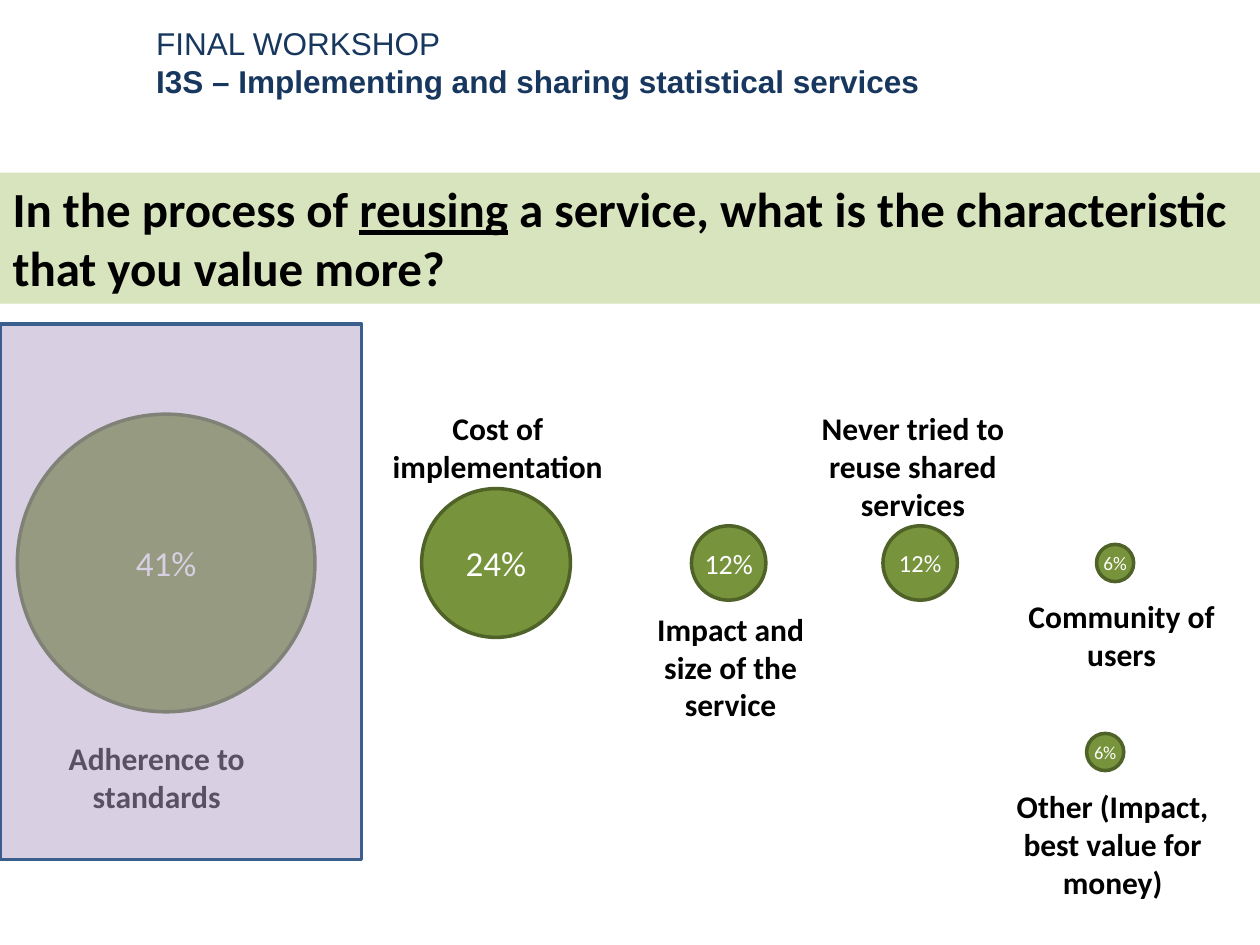
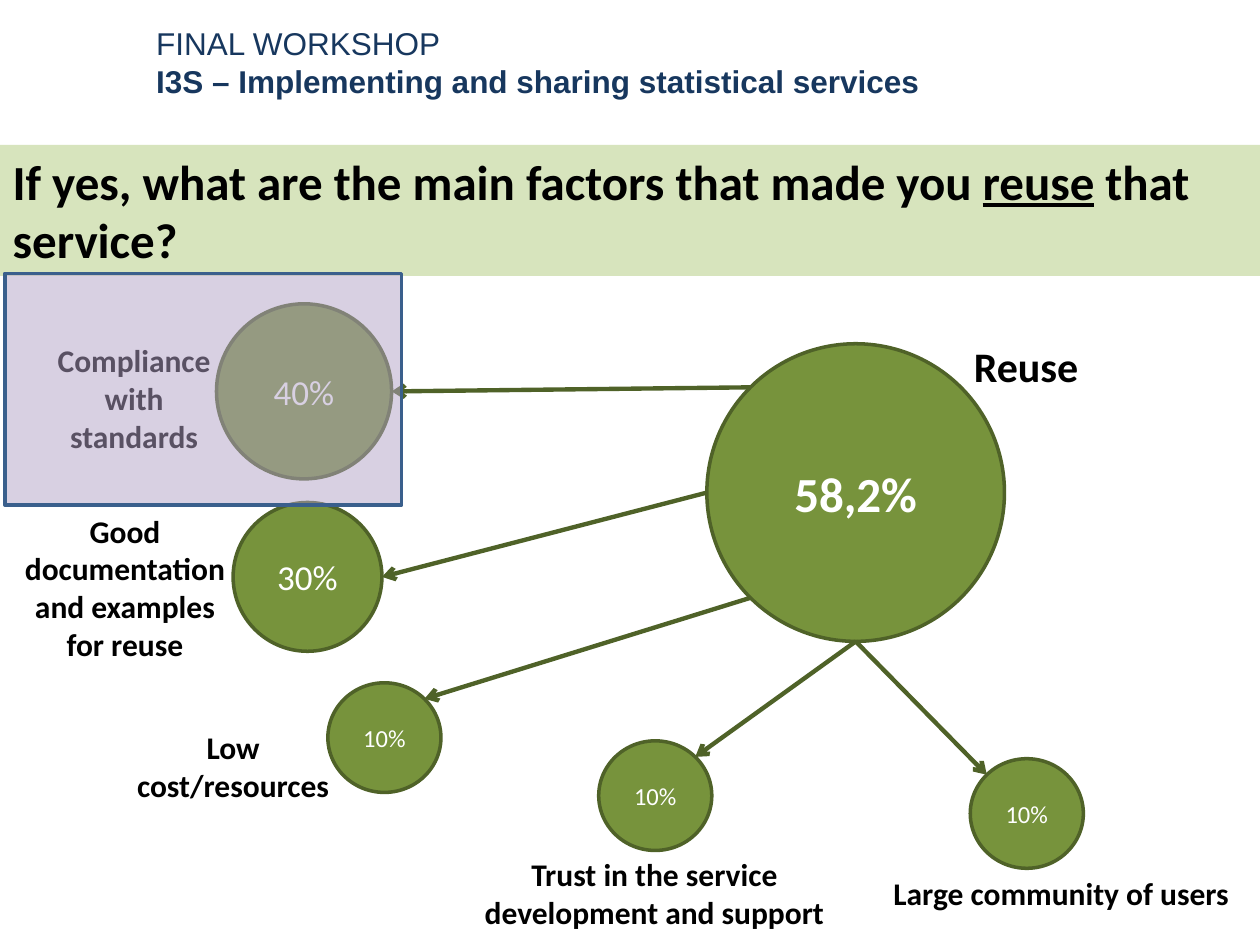
"""Build two workshop slides that show survey answers as bubbles sized by share."""
from dataclasses import dataclass
from math import cos, pi, sin
from typing import NamedTuple, Optional

from lxml import etree
from pptx import Presentation
from pptx.dml.color import RGBColor
from pptx.enum.shapes import MSO_CONNECTOR as Link, MSO_SHAPE as Preset
from pptx.enum.text import MSO_ANCHOR as Anchor, MSO_AUTO_SIZE as AutoSize, PP_ALIGN as Align
from pptx.oxml.ns import qn
from pptx.shapes.autoshape import Shape
from pptx.slide import Slide
from pptx.util import Cm, Pt


@dataclass(frozen=True)
class Theme:
    band: RGBColor = RGBColor(0xD7, 0xE4, 0xBD)
    bubble: RGBColor = RGBColor(0x77, 0x93, 0x3C)
    bubble_edge: RGBColor = RGBColor(0x4F, 0x62, 0x28)
    highlight: RGBColor = RGBColor(0xB3, 0xA2, 0xC7)
    highlight_edge: RGBColor = RGBColor(0x3A, 0x5F, 0x8C)
    highlight_alpha: int = 50
    header: RGBColor = RGBColor(0x17, 0x37, 0x5E)
    ink: RGBColor = RGBColor(0, 0, 0)
    light: RGBColor = RGBColor(255, 255, 255)
    body_font: str = "Calibri"
    header_font: str = "Arial"
    question_size: float = 28
    label_size: float = 18
    topic_size: float = 24
    edge_width: float = 2
    arrow_width: float = 2.5


THEME = Theme()
WIDTH, HEIGHT = 25.4, 19.05
BAND_HEIGHT = 2.64
HEADER_LINES = ("FINAL WORKSHOP", "I3S – Implementing and sharing statistical services")
NARROW_BUBBLE = 2


class Box(NamedTuple):
    left: float
    top: float
    width: float
    height: float

    def lengths(self) -> tuple[Cm, ...]:
        return tuple(Cm(side) for side in self)


class Question(NamedTuple):
    before: str
    stressed: str
    after: str
    top: float


class Arrow(NamedTuple):
    """Sites run counterclockwise in eighths of a turn from the top."""
    start_site: int
    end_site: int


class Answer(NamedTuple):
    share: str
    size: float
    center_x: float
    center_y: float
    width: float
    height: float
    label: str
    label_box: Box
    arrow: Optional[Arrow] = None


ROW_Y = 11.35
LARGE, MEDIUM, SMALL, TINY = 6, 3, 1.5, 0.75
TENTH = (2.28, 2.21)

VALUED_QUESTION = Question(
    "In the process of ", "reusing", " a service, what is the characteristic that you value more?", 3.48)
VALUED_ANSWERS = (
    Answer("41%", 20, 3.35, ROW_Y, LARGE, LARGE,
           "Adherence to standards", Box(0.71, 14.78, 4.9, 1.8)),
    Answer("24%", 20, 10, ROW_Y, MEDIUM, MEDIUM,
           "Cost of implementation", Box(6.96, 8.13, 6.15, 1.8)),
    Answer("12%", 16, 14.69, ROW_Y, SMALL, SMALL,
           "Impact and size of the service", Box(12.9, 12.17, 3.66, 2.57)),
    Answer("12%", 14, 18.55, ROW_Y, SMALL, SMALL,
           "Never tried to reuse shared services", Box(15.7, 8.13, 5.41, 2.57)),
    Answer("6%", 11, 22.48, ROW_Y, TINY, TINY,
           "Community of users", Box(19.89, 11.91, 5.44, 1.8)),
    Answer("6%", 10.5, 22.28, 15.16, TINY, TINY,
           "Other (Impact, best value for money)", Box(19.71, 15.75, 5.44, 2.57)),
)
VALUED_HIGHLIGHT = Box(0, 6.53, 7.29, 10.8)

FACTORS_QUESTION = Question(
    "If yes, what are the main factors that made you ", "reuse", " that service?", 2.92)
REUSE = Answer("58,2%", THEME.question_size, 17.25, 9.93, LARGE, LARGE,
               "Reuse", Box(17.09, 6.73, 7.19, 1.27))
FACTORS = (
    Answer("40%", 20, 6.13, 7.89, 3.53, 3.53,
           "Compliance with standards", Box(0.51, 6.76, 4.39, 2.57), Arrow(1, 6)),
    Answer("30%", 20, 6.2, 11.63, MEDIUM, MEDIUM,
           "Good documentation and examples for reuse", Box(0.13, 10.19, 4.78, 3.33), Arrow(2, 6)),
    Answer("10%", 14, 7.75, 14.87, *TENTH,
           "Low cost/resources", Box(2.31, 14.55, 4.78, 1.8), Arrow(3, 7)),
    Answer("10%", 14, 13.21, 16.04, *TENTH,
           "Trust in the service development and support", Box(9.5, 17.12, 7.39, 1.8), Arrow(4, 7)),
    Answer("10%", 14, 20.7, 16.4, *TENTH,
           "Large community of users", Box(17.7, 17.5, 7.39, 1.02), Arrow(4, 1)),
)
FACTORS_HIGHLIGHT = Box(0.1, 5.51, 8, 4.67)


def format_paragraph(paragraph, size: float, color: RGBColor, bold: bool = False,
                     align: Align = Align.CENTER, face: str = THEME.body_font) -> None:
    """Align a paragraph and give all its runs one look."""
    paragraph.alignment = align
    for run in paragraph.runs:
        run.font.name = face
        run.font.size = Pt(size)
        run.font.bold = bold
        run.font.color.rgb = color


def draw_question(slide: Slide, question: Question) -> None:
    """Put the question in the title placeholder, as a full-width band."""
    band = slide.shapes.title
    band.left, band.top, band.width, band.height = Box(0, question.top, WIDTH, BAND_HEIGHT).lengths()
    band.fill.solid()
    band.fill.fore_color.rgb = THEME.band
    frame = band.text_frame
    frame.auto_size = AutoSize.NONE
    frame.word_wrap = True
    frame.vertical_anchor = Anchor.TOP
    paragraph = frame.paragraphs[0]
    for part in question[:3]:
        paragraph.add_run().text = part
    format_paragraph(paragraph, THEME.question_size, THEME.ink, True, Align.LEFT)
    paragraph.runs[1].font.underline = True


def draw_header(slide: Slide) -> None:
    """Write the workshop name above the band."""
    frame = slide.shapes.add_textbox(*Box(2.9, 0.36, 21.21, 1.8).lengths()).text_frame
    frame.word_wrap = True
    frame.text = "\n".join(HEADER_LINES)
    for paragraph, bold in zip(frame.paragraphs, (False, True)):
        format_paragraph(paragraph, THEME.label_size, THEME.header, bold, Align.LEFT, THEME.header_font)


def draw_label(slide: Slide, text: str, box: Box, size: float) -> None:
    """Write a centred bold label."""
    frame = slide.shapes.add_textbox(*box.lengths()).text_frame
    frame.word_wrap = True
    frame.text = text
    format_paragraph(frame.paragraphs[0], size, THEME.ink, True)


def draw_outlined(slide: Slide, preset: Preset, box: Box, fill: RGBColor, edge: RGBColor) -> Shape:
    """Draw a filled, outlined shape without a shadow."""
    shape = slide.shapes.add_shape(preset, *box.lengths())
    shape.shadow.inherit = False
    shape.fill.solid()
    shape.fill.fore_color.rgb = fill
    shape.line.color.rgb = edge
    shape.line.width = Pt(THEME.edge_width)
    return shape


def draw_answer(slide: Slide, answer: Answer, label_size: float = THEME.label_size,
                bold: bool = False) -> Shape:
    """Draw an answer's bubble with its share, and its label."""
    box = Box(answer.center_x - answer.width / 2, answer.center_y - answer.height / 2,
              answer.width, answer.height)
    bubble = draw_outlined(slide, Preset.OVAL, box, THEME.bubble, THEME.bubble_edge)
    frame = bubble.text_frame
    frame.vertical_anchor = Anchor.MIDDLE
    if answer.width < NARROW_BUBBLE:
        frame.margin_left = frame.margin_right = 0
    frame.text = answer.share
    format_paragraph(frame.paragraphs[0], answer.size, THEME.light, bold)
    draw_label(slide, answer.label, answer.label_box, label_size)
    return bubble


def site_point(answer: Answer, site: int) -> tuple[Cm, Cm]:
    """Find the point of a bubble's edge at a connection site."""
    angle = site * pi / 4
    return (Cm(answer.center_x - answer.width / 2 * sin(angle)),
            Cm(answer.center_y - answer.height / 2 * cos(angle)))


def draw_arrow(slide: Slide, source: Answer, source_bubble: Shape,
               target: Answer, target_bubble: Shape) -> None:
    """Join two bubbles with an arrow at the target."""
    start_site, end_site = target.arrow
    start, end = site_point(source, start_site), site_point(target, end_site)
    arrow = slide.shapes.add_connector(Link.STRAIGHT, *start, *end)
    for connect, bubble, site in ((arrow.begin_connect, source_bubble, start_site),
                                  (arrow.end_connect, target_bubble, end_site)):
        connect(bubble, site % 4)
    connections = arrow._element.nvCxnSpPr.cNvCxnSpPr
    connections.stCxn.idx, connections.endCxn.idx = start_site, end_site
    arrow.begin_x, arrow.begin_y = start
    arrow.end_x, arrow.end_y = end
    arrow.line.color.rgb = THEME.bubble_edge
    arrow.line.width = Pt(THEME.arrow_width)
    etree.SubElement(arrow.line._get_or_add_ln(), qn("a:tailEnd"), type="arrow")
    etree.SubElement(arrow._element.spPr, qn("a:effectLst"))


def draw_highlight(slide: Slide, box: Box) -> None:
    """Lay a translucent panel over the leading answer."""
    panel = draw_outlined(slide, Preset.RECTANGLE, box, THEME.highlight, THEME.highlight_edge)
    color = panel._element.spPr.find(qn("a:solidFill"))[0]
    etree.SubElement(color, qn("a:alpha"), val=str(THEME.highlight_alpha * 1000))


def start_slide(deck, question: Question) -> Slide:
    """Add a slide with the shared header and its question."""
    slide = deck.slides.add_slide(deck.slide_layouts.get_by_name("Title Only"))
    draw_question(slide, question)
    draw_header(slide)
    return slide


def build_valued(deck) -> None:
    """Build the slide on the characteristic valued most."""
    slide = start_slide(deck, VALUED_QUESTION)
    for answer in VALUED_ANSWERS:
        draw_answer(slide, answer)
    draw_highlight(slide, VALUED_HIGHLIGHT)


def build_factors(deck) -> None:
    """Build the slide on the factors behind reuse."""
    slide = start_slide(deck, FACTORS_QUESTION)
    reuse_bubble = draw_answer(slide, REUSE, THEME.topic_size, True)
    for factor in FACTORS:
        factor_bubble = draw_answer(slide, factor)
        draw_arrow(slide, REUSE, reuse_bubble, factor, factor_bubble)
    draw_highlight(slide, FACTORS_HIGHLIGHT)


def main() -> None:
    """Build and save the deck."""
    deck = Presentation()
    deck.slide_width, deck.slide_height = Cm(WIDTH), Cm(HEIGHT)
    build_valued(deck)
    build_factors(deck)
    deck.save("out.pptx")


if __name__ == "__main__":
    main()
